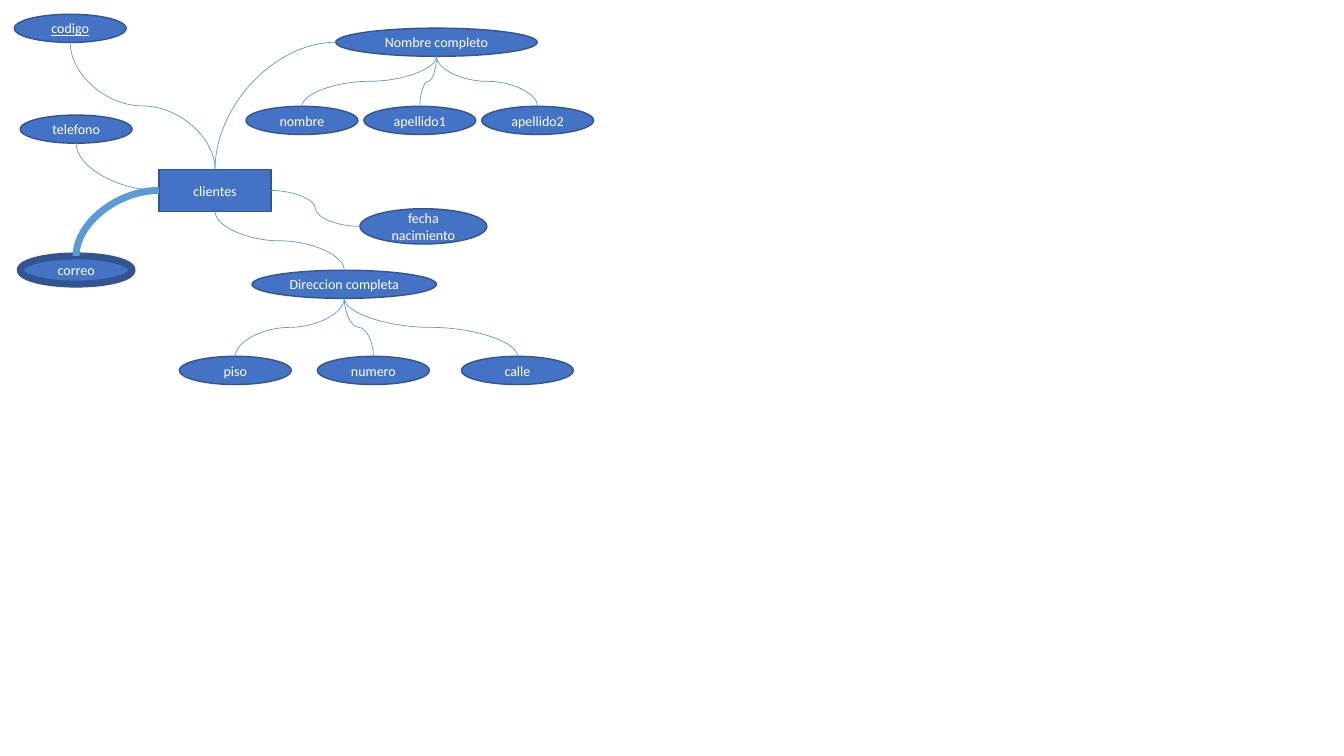
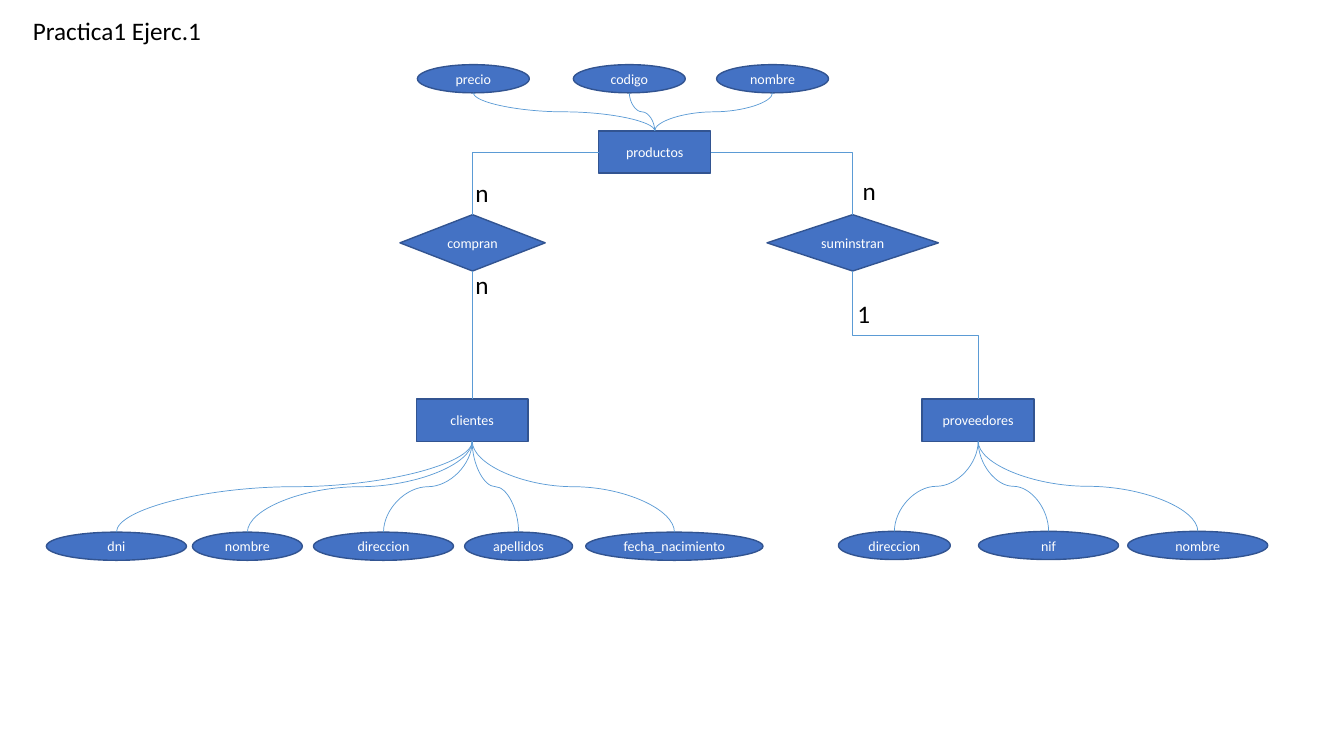
import lxml.etree
import pptx
import pptx.dml.color
import pptx.enum.shapes
import pptx.enum.text
import pptx.oxml.ns
import pptx.util

Cm = pptx.util.Cm
Pt = pptx.util.Pt
SHAPES = pptx.enum.shapes.MSO_SHAPE
CONNECTORS = pptx.enum.shapes.MSO_CONNECTOR
qn = pptx.oxml.ns.qn

COLOURS = {
    "node": "4472C4",
    "outline": "325491",
    "link": "5B9BD5",
    "node text": "FFFFFF",
    "text": "000000",
}
FONT = "Calibri"
NODE_WIDTH = 2.82
ATTRIBUTE_HEIGHT = 0.71
ENTITY_HEIGHT = 1.06
RELATION_HEIGHT = 1.42
THICK = 5

# Side of a shape: connection index, then its place as a share of width and height
SIDES = {
    "top": (0, 0.5, 0),
    "left": (1, 0, 0.5),
    "bottom": (2, 0.5, 1),
    "right": (3, 1, 0.5),
}


def colour(name):
    return pptx.dml.color.RGBColor.from_string(COLOURS[name])


def add_span(para, text, size, colour_name, underline=None):
    span = para.add_run()
    span.text = text
    span.font.name = FONT
    span.font.size = Pt(size)
    span.font.color.rgb = colour(colour_name)
    span.font.underline = underline


# Nodes of the diagram

def add_node(page, kind, label, left, top, width, height, outline=1, underline=None):
    node = page.shapes.add_shape(kind, Cm(left), Cm(top), Cm(width), Cm(height))
    node.shadow.inherit = False
    node.fill.solid()
    node.fill.fore_color.rgb = colour("node")
    node.line.color.rgb = colour("outline")
    node.line.width = Pt(outline)
    node.text_frame.vertical_anchor = pptx.enum.text.MSO_ANCHOR.MIDDLE
    para = node.text_frame.paragraphs[0]
    para.alignment = pptx.enum.text.PP_ALIGN.CENTER
    add_span(para, label, 10, "node text", underline)
    return node


def add_entity(page, label, left, top):
    return add_node(page, SHAPES.RECTANGLE, label, left, top, NODE_WIDTH, ENTITY_HEIGHT)


def add_relation(page, label, left, top, width):
    return add_node(page, SHAPES.DIAMOND, label, left, top, width, RELATION_HEIGHT)


def add_attribute(page, label, left, top, width=NODE_WIDTH, height=ATTRIBUTE_HEIGHT, **style):
    return add_node(page, SHAPES.OVAL, label, left, top, width, height, **style)


def add_label(page, text, left, top, width, wrap=False):
    box = page.shapes.add_textbox(Cm(left), Cm(top), Cm(width), Cm(1.02))
    box.text_frame.word_wrap = wrap
    box.text_frame.auto_size = pptx.enum.text.MSO_AUTO_SIZE.SHAPE_TO_FIT_TEXT
    add_span(box.text_frame.paragraphs[0], text, 18, "text")


# Links between nodes

def side_point(node, side):
    _, across, down = SIDES[side]
    return node.left + int(node.width * across), node.top + int(node.height * down)


def join(connector, tag, node, side):
    """Tie one end to a node; an oval has twice as many connection sites."""
    step = 2 if node.auto_shape_type == SHAPES.OVAL else 1
    holder = connector._element.find(qn("p:nvCxnSpPr")).find(qn("p:cNvCxnSpPr"))
    site = lxml.etree.SubElement(holder, qn(tag))
    site.set("id", str(node.shape_id))
    site.set("idx", str(SIDES[side][0] * step))


def add_link(page, start, start_side, end, end_side, kind=CONNECTORS.CURVE, width=0.5):
    x1, y1 = side_point(start, start_side)
    x2, y2 = side_point(end, end_side)
    across, down = x2 - x1, y2 - y1
    upright = start_side in ("top", "bottom")

    # A link that leaves vertically is a turned one, so its sides swap
    if upright:
        turn = 270 if across * down > 0 else 90
        long, short = abs(down), abs(across)
        flip_h = (down > 0) == (turn == 270)
        flip_v = (across > 0) == (turn == 90)
    else:
        turn = 0
        long, short = abs(across), abs(down)
        flip_h, flip_v = across < 0, down < 0
    left = (x1 + x2 - long) // 2
    top = (y1 + y2 - short) // 2
    connector = page.shapes.add_connector(kind, left, top, left + long, top + short)
    connector.line.color.rgb = colour("link")
    connector.line.width = Pt(width)

    properties = connector._element.spPr
    frame = properties.find(qn("a:xfrm"))
    frame.set("rot", str(turn * 60000))
    frame.set("flipH", str(int(flip_h)))
    frame.set("flipV", str(int(flip_v)))
    if upright != (end_side in ("top", "bottom")):
        name = "curvedConnector2" if kind == CONNECTORS.CURVE else "bentConnector2"
        properties.find(qn("a:prstGeom")).set("prst", name)
    lxml.etree.SubElement(properties, qn("a:effectLst"))
    join(connector, "a:stCxn", start, start_side)
    join(connector, "a:endCxn", end, end_side)


def add_attribute_row(page, owner, side, left, top, attributes):
    """Row of (label, offset, width) attributes, each linked to its owner."""
    facing = "top" if side == "bottom" else "bottom"
    for label, offset, width in attributes:
        attribute = add_attribute(page, label, left + offset, top, width)
        add_link(page, owner, side, attribute, facing)


# Slides

def build_client_slide(page, left, top):
    client = add_entity(page, "clientes", left + 4.01, top + 4.27)

    # Simple attributes
    code = add_attribute(page, "codigo", left + 0.36, top + 0.36, underline=True)
    phone = add_attribute(page, "telefono", left + 0.51, top + 2.9)
    mail = add_attribute(page, "correo", left + 0.51, top + 6.45, outline=THICK)
    birth = add_attribute(page, "fecha nacimiento", left + 9.07, top + 5.26, 3.2, 0.89)
    add_link(page, code, "bottom", client, "top")
    add_link(page, phone, "bottom", client, "left")
    add_link(page, mail, "top", client, "left", width=THICK)
    add_link(page, client, "right", birth, "left")

    # Compound attributes
    full_name = add_attribute(page, "Nombre completo", left + 8.46, top + 0.71, 5.08)
    add_link(page, client, "top", full_name, "left")
    add_attribute_row(page, full_name, "bottom", left + 6.2, top + 2.68, [
        ("nombre", 0, NODE_WIDTH),
        ("apellido1", 2.97, NODE_WIDTH),
        ("apellido2", 5.94, NODE_WIDTH),
    ])
    address = add_attribute(page, "Direccion completa", left + 6.35, top + 6.81, 4.65)
    add_link(page, client, "bottom", address, "top")
    add_attribute_row(page, address, "bottom", left + 4.52, top + 8.98, [
        ("piso", 0, NODE_WIDTH),
        ("numero", 3.48, NODE_WIDTH),
        ("calle", 7.11, NODE_WIDTH),
    ])


def build_shop_slide(page, left, top):
    add_label(page, "Practica1 Ejerc.1", left + 0.58, top + 0.25, 7.11, wrap=True)

    # Entities and relations
    product = add_entity(page, "productos", left + 15.09, top + 3.3)
    client = add_entity(page, "clientes", left + 10.49, top + 10.06)
    supplier = add_entity(page, "proveedores", left + 23.24, top + 10.06)
    buy = add_relation(page, "compran", left + 10.08, top + 5.41, 3.66)
    supply = add_relation(page, "suminstran", left + 19.33, top + 5.41, 4.32)
    for start, start_side, end, end_side in [
        (buy, "top", product, "left"),
        (client, "top", buy, "bottom"),
        (product, "right", supply, "top"),
        (supply, "bottom", supplier, "top"),
    ]:
        add_link(page, start, start_side, end, end_side, CONNECTORS.ELBOW)

    # Attributes
    add_attribute_row(page, product, "top", left + 10.52, top + 1.63, [
        ("precio", 0, NODE_WIDTH),
        ("codigo", 3.93, NODE_WIDTH),
        ("nombre", 7.54, NODE_WIDTH),
    ])
    add_attribute_row(page, client, "bottom", left + 1.17, top + 13.41, [
        ("dni", 0, 3.53),
        ("nombre", 3.68, 2.77),
        ("direccion", 6.73, 3.53),
        ("apellidos", 10.54, 2.72),
        ("fecha_nacimiento", 13.59, 4.47),
    ])
    add_attribute_row(page, supplier, "bottom", left + 21.13, top + 13.39, [
        ("direccion", 0, NODE_WIDTH),
        ("nif", 3.53, 3.53),
        ("nombre", 7.29, 3.53),
    ])

    # Cardinalities
    add_label(page, "n", left + 11.73, top + 4.34, 0.86)
    add_label(page, "n", left + 11.73, top + 6.65, 0.86)
    add_label(page, "n", left + 21.49, top + 4.29, 0.86)
    add_label(page, "1", left + 21.36, top + 7.39, 0.76, wrap=True)


def main():
    deck = pptx.Presentation()
    deck.slide_width = Cm(33.87)
    deck.slide_height = Cm(19.05)
    for build in (build_client_slide, build_shop_slide):
        build(deck.slides.add_slide(deck.slide_layouts[6]), 0, 0)
    deck.save("out.pptx")


if __name__ == "__main__":
    main()
